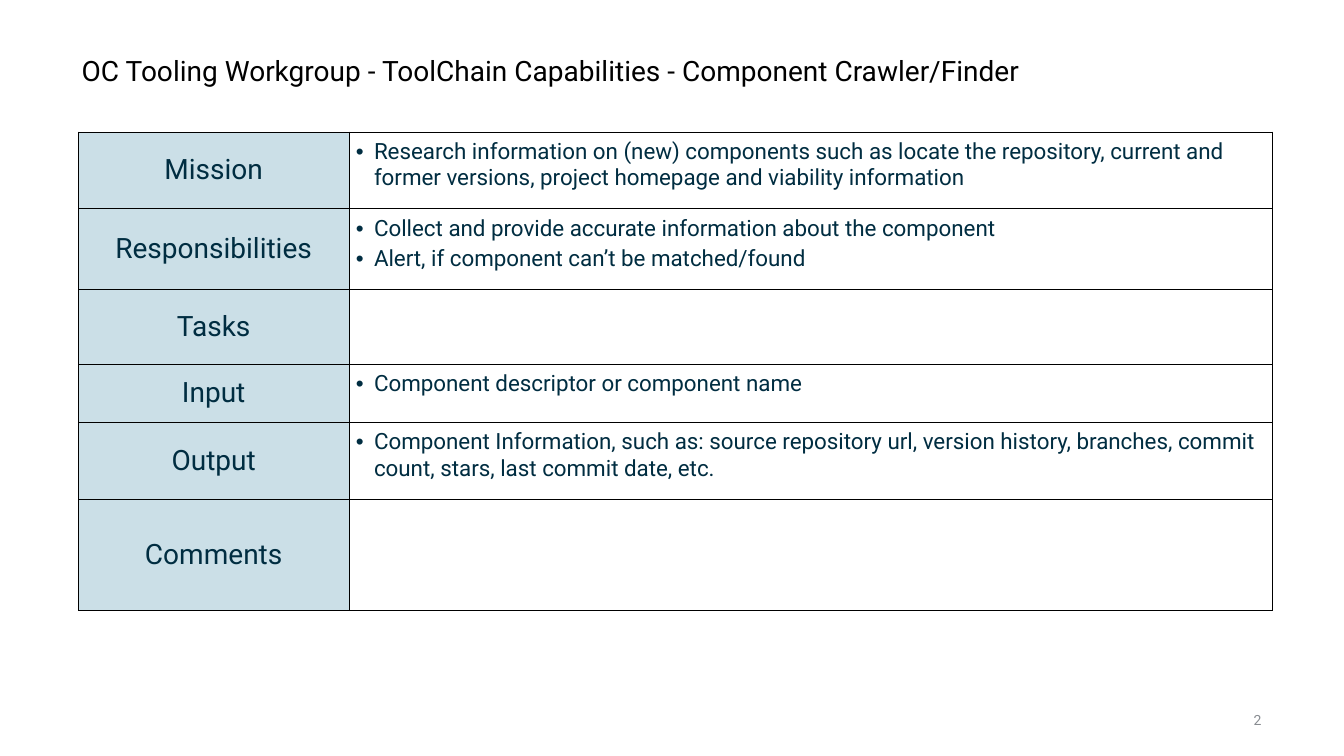
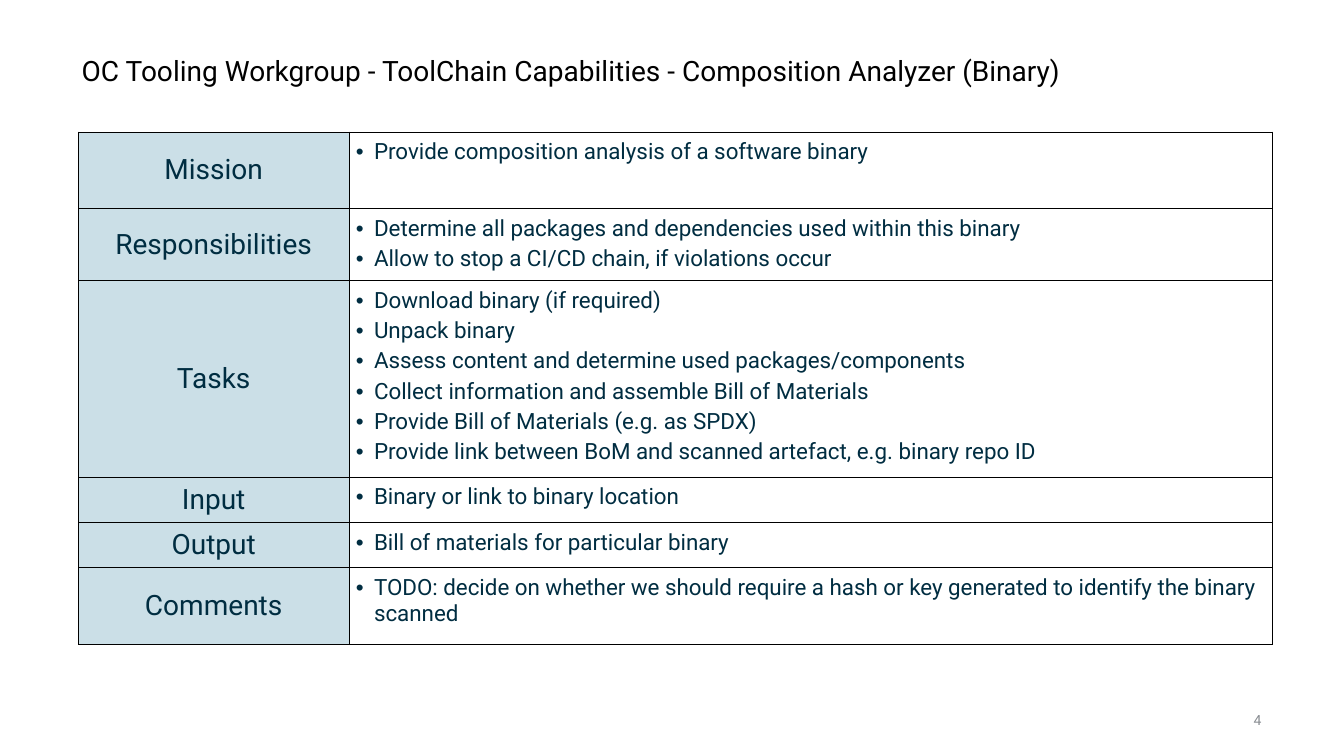
from dataclasses import dataclass

from lxml.etree import SubElement
from pptx import Presentation
from pptx.dml.color import RGBColor as RGB
from pptx.enum.text import MSO_ANCHOR as ANCHOR, MSO_AUTO_SIZE as AUTO, PP_ALIGN as ALIGN
from pptx.oxml.ns import qn
from pptx.util import Inches, Pt


@dataclass(frozen=True)
class Theme:
    font: str = "Roboto"
    title: RGB = RGB(0x00, 0x00, 0x00)
    text: RGB = RGB(0x00, 0x2D, 0x41)
    number: RGB = RGB(0x88, 0x8C, 0x91)
    label_fill: RGB = RGB(0xCB, 0xDF, 0xE7)
    border: str = "000000"
    border_width: Pt = Pt(0.5)
    title_size: Pt = Pt(20)
    label_size: Pt = Pt(20)
    body_size: Pt = Pt(16)
    number_size: Pt = Pt(10)


THEME = Theme()
TITLE_BOX = (0.76, 0.39, 10.62, 0.65)
NUMBER_BOX = (12.37, 7, 0.19, 0.29)
TABLE_BOX = (0.78, 1.31, 11.84)
LABEL_WIDTH = 2.68
TITLE_PREFIX = "OC Tooling Workgroup - ToolChain Capabilities - "
LABELS = ("Mission", "Responsibilities", "Tasks", "Input", "Output", "Comments")

# Each slide: number, capability, then (row height, bullets) in the order of LABELS
SLIDES = (
    ("2", "Component Crawler/Finder", (
        (0.76, ["Research information on (new) components such as locate the repository, "
                "current and former versions, project homepage and viability information"]),
        (0.8, ["Collect and provide accurate information about the component",
               "Alert, if component can’t be matched/found"]),
        (0.74, []),
        (0.58, ["Component descriptor or component name"]),
        (0.76, ["Component Information, such as: source repository url, version history, "
                "branches, commit count, stars, last commit date, etc."]),
        (1.11, []),
    )),
    ("4", "Composition Analyzer (Binary)", (
        (0.76, ["Provide composition analysis of a software binary"]),
        (0.69, ["Determine all packages and dependencies used within this binary",
                "Allow to stop a CI/CD chain, if violations occur"]),
        (1.9, ["Download binary (if required)",
               "Unpack binary",
               "Assess content and determine used packages/components",
               "Collect information and assemble Bill of Materials",
               "Provide Bill of Materials (e.g. as SPDX)",
               "Provide link between BoM and scanned artefact, e.g. binary repo ID"]),
        (0.45, ["Binary or link to binary location"]),
        (0.45, ["Bill of materials for particular binary"]),
        (0.76, ["TODO: decide on whether we should require a hash or key generated "
                "to identify the binary scanned"]),
    )),
)


def add_run(p, text, size, color):
    r = p.add_run()
    r.text = text
    r.font.name = THEME.font
    r.font.size = size
    r.font.color.rgb = color


def set_margins(box, inches):
    box.margin_left = box.margin_top = box.margin_right = box.margin_bottom = Inches(inches)


def set_borders(cell):
    """Outline a cell; call before filling it, as lines precede the fill in the XML."""
    tc_pr = cell._tc.get_or_add_tcPr()
    for side in ("L", "R", "T", "B"):
        ln = SubElement(tc_pr, qn(f"a:ln{side}"), w=str(THEME.border_width))
        fill = SubElement(ln, qn("a:solidFill"))
        SubElement(fill, qn("a:srgbClr"), val=THEME.border)


def set_bullet(p):
    p_pr = p._p.get_or_add_pPr()
    p_pr.set("marL", str(Inches(0.18)))
    p_pr.set("indent", str(-Inches(0.18)))
    SubElement(p_pr, qn("a:buFont"), typeface="Arial")
    SubElement(p_pr, qn("a:buChar"), char="•")


def fill_title(sp, box, text):
    sp.left, sp.top, sp.width, sp.height = map(Inches, box)
    tf = sp.text_frame
    tf.auto_size = AUTO.NONE
    tf.vertical_anchor = ANCHOR.MIDDLE
    set_margins(tf, 0.05)
    p = tf.paragraphs[0]
    p.alignment = ALIGN.LEFT
    p.line_spacing = 0.9
    add_run(p, text, THEME.title_size, THEME.title)


def add_number(slide, box, number):
    tf = slide.shapes.add_textbox(*map(Inches, box)).text_frame
    tf.word_wrap = False
    tf.auto_size = AUTO.SHAPE_TO_FIT_TEXT
    tf.vertical_anchor = ANCHOR.MIDDLE
    set_margins(tf, 0.05)
    p = tf.paragraphs[0]
    p.alignment = ALIGN.RIGHT
    add_run(p, number, THEME.number_size, THEME.number)


def fill_label(cell, text):
    set_borders(cell)
    cell.fill.solid()
    cell.fill.fore_color.rgb = THEME.label_fill
    cell.vertical_anchor = ANCHOR.MIDDLE
    set_margins(cell, 0)
    p = cell.text_frame.paragraphs[0]
    p.alignment = ALIGN.CENTER
    add_run(p, text, THEME.label_size, THEME.text)


def fill_bullets(cell, bullets):
    set_borders(cell)
    cell.fill.background()
    set_margins(cell, 0.07)
    tf = cell.text_frame
    for i, text in enumerate(bullets):
        p = tf.add_paragraph() if i else tf.paragraphs[0]
        set_bullet(p)
        if i:
            p.space_before = Pt(3)
        add_run(p, text, THEME.body_size, THEME.text)


def add_capability_table(slide, box, rows):
    left, top, width = box
    height = sum(row_height for row_height, _ in rows)
    frame = slide.shapes.add_table(len(rows), 2, *map(Inches, (left, top, width, height)))
    table = frame.table
    table.first_row = table.horz_banding = False
    table.columns[0].width = Inches(LABEL_WIDTH)
    table.columns[1].width = Inches(width - LABEL_WIDTH)
    for i, (label, (row_height, bullets)) in enumerate(zip(LABELS, rows)):
        table.rows[i].height = Inches(row_height)
        fill_label(table.cell(i, 0), label)
        fill_bullets(table.cell(i, 1), bullets)


def add_capability_slide(prs, number, capability, rows):
    slide = prs.slides.add_slide(prs.slide_layouts.get_by_name("Title Only"))
    fill_title(slide.shapes.title, TITLE_BOX, TITLE_PREFIX + capability)
    add_number(slide, NUMBER_BOX, number)
    add_capability_table(slide, TABLE_BOX, rows)


def main():
    prs = Presentation()
    prs.slide_width, prs.slide_height = Inches(13.33), Inches(7.5)
    for content in SLIDES:
        add_capability_slide(prs, *content)
    prs.save("out.pptx")


if __name__ == "__main__":
    main()
